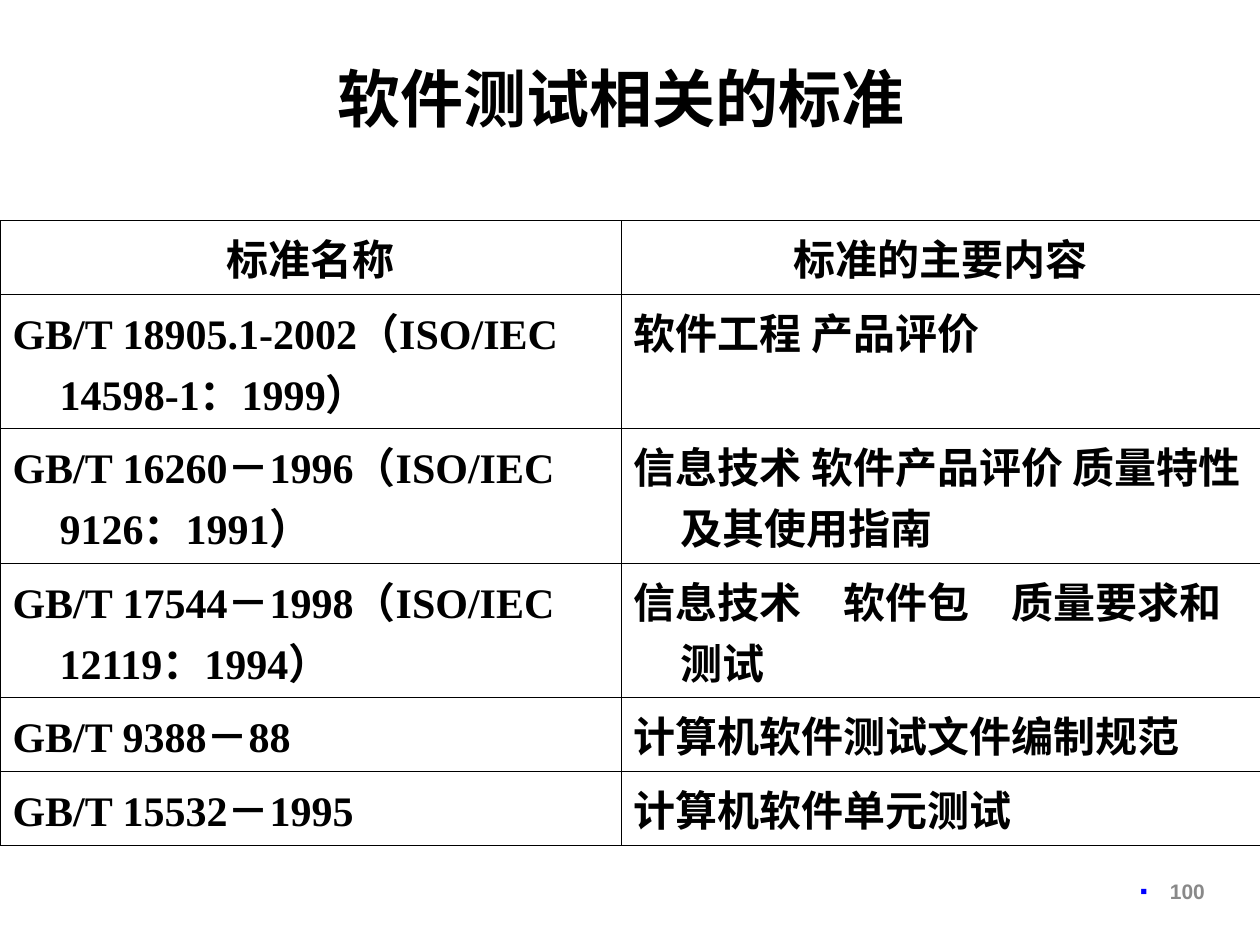
from lxml import etree
from pptx import Presentation, util as u
from pptx.dml.color import RGBColor
from pptx.enum import text
from pptx.oxml import ns

BLACK = RGBColor(0x00, 0x00, 0x00)
WHITE = RGBColor(0xFF, 0xFF, 0xFF)
GREY = RGBColor(0x89, 0x89, 0x89)
BLUE = RGBColor(0x00, 0x00, 0xFF)

HEADINGS = ("标准名称", "标准的主要内容")
STANDARDS = (
    ("GB/T 18905.1-2002（ISO/IEC 14598-1：1999）", "软件工程 产品评价"),
    ("GB/T 16260－1996（ISO/IEC 9126：1991）", "信息技术 软件产品评价 质量特性及其使用指南"),
    ("GB/T 17544－1998（ISO/IEC 12119：1994）", "信息技术　软件包　质量要求和测试"),
    ("GB/T 9388－88", "计算机软件测试文件编制规范"),
    ("GB/T 15532－1995", "计算机软件单元测试"),
)
COLUMN_WIDTHS = (12.52, 12.88)
ROW_HEIGHTS = (1.47, 2.29, 2.29, 2.29, 1.35, 1.4)


def set_font(para, name, size, color):
    """Give a paragraph its bold typeface, size and colour."""
    font = para.font
    font.name, font.size, font.bold = name, u.Pt(size), True
    font.color.rgb = color


def set_hanging_indent(para, length):
    """Indent every line of a paragraph but the first."""
    properties = para._p.get_or_add_pPr()
    properties.set("marL", str(length))
    properties.set("indent", str(-length))


def add_element(parent, tag, **attributes):
    """Append a DrawingML element and return it."""
    return etree.SubElement(parent, ns.qn(tag), **attributes)


def set_borders(cell, color, width):
    """Rule all four sides of a table cell."""
    properties = cell._tc.get_or_add_tcPr()
    for index, side in enumerate(("a:lnL", "a:lnR", "a:lnT", "a:lnB")):
        line = add_element(properties, side, w=str(u.Pt(width)))
        add_element(add_element(line, "a:solidFill"), "a:srgbClr", val=str(color))
        properties.insert(index, line)


def place_title(page, left, top, width, height):
    """Move and format the title placeholder."""
    title = page.shapes.title
    title.left, title.top, title.width, title.height = left, top, width, height
    frame = title.text_frame
    frame.text = "软件测试相关的标准"
    frame.vertical_anchor = text.MSO_ANCHOR.MIDDLE
    frame.margin_right = u.Cm(0.6)
    frame.margin_top = u.Cm(0.3)
    para = frame.paragraphs[0]
    para.alignment = text.PP_ALIGN.CENTER
    set_font(para, "Calibri", 36, BLACK)


def fill_cell(cell, wording, alignment):
    """Write and format one table cell."""
    cell.text = wording
    cell.fill.solid()
    cell.fill.fore_color.rgb = WHITE
    set_borders(cell, BLACK, 0.45)
    para = cell.text_frame.paragraphs[0]
    para.alignment = alignment
    set_hanging_indent(para, u.Cm(0.95))
    set_font(para, "Times New Roman", 24, BLACK)


def place_table(page, left, top, width, height):
    """Add the table of standards."""
    rows = (HEADINGS, *STANDARDS)
    table = page.shapes.add_table(len(rows), len(HEADINGS), left, top, width, height).table
    table.first_row = table.horz_banding = False
    for column, length in zip(table.columns, COLUMN_WIDTHS):
        column.width = u.Cm(length)
    for row, length, wordings in zip(table.rows, ROW_HEIGHTS, rows):
        row.height = u.Cm(length)
        alignment = text.PP_ALIGN.CENTER if wordings is HEADINGS else text.PP_ALIGN.LEFT
        for cell, wording in zip(row.cells, wordings):
            fill_cell(cell, wording, alignment)


def place_page_number(page, left, top, width, height):
    """Add the bulleted page number."""
    frame = page.shapes.add_textbox(left, top, width, height).text_frame
    frame.word_wrap = True
    frame.vertical_anchor = text.MSO_ANCHOR.MIDDLE
    para = frame.paragraphs[0]
    para.text = "100"
    para.alignment = text.PP_ALIGN.RIGHT
    para.line_spacing = 0.8
    set_hanging_indent(para, u.Cm(0.6))
    properties = para._p.get_or_add_pPr()
    add_element(add_element(properties, "a:buClr"), "a:srgbClr", val=str(BLUE))
    add_element(properties, "a:buFont", typeface="Arial")
    add_element(properties, "a:buChar", char="▪")
    set_font(para, "Arial", 12, GREY)


def main():
    """Build the deck and save it."""
    deck = Presentation()
    deck.slide_width, deck.slide_height = u.Cm(25.4), u.Cm(19.05)
    page = deck.slides.add_slide(deck.slide_layouts[5])
    place_title(page, u.Cm(0.84), u.Cm(0.64), u.Cm(23.72), u.Cm(2.49))
    place_table(page, u.Cm(0), u.Cm(4.45), u.Cm(25.4), u.Cm(sum(ROW_HEIGHTS)))
    place_page_number(page, u.Cm(18.19), u.Cm(17.35), u.Cm(6.35), u.Cm(1.32))
    deck.save("out.pptx")


if __name__ == "__main__":
    main()
